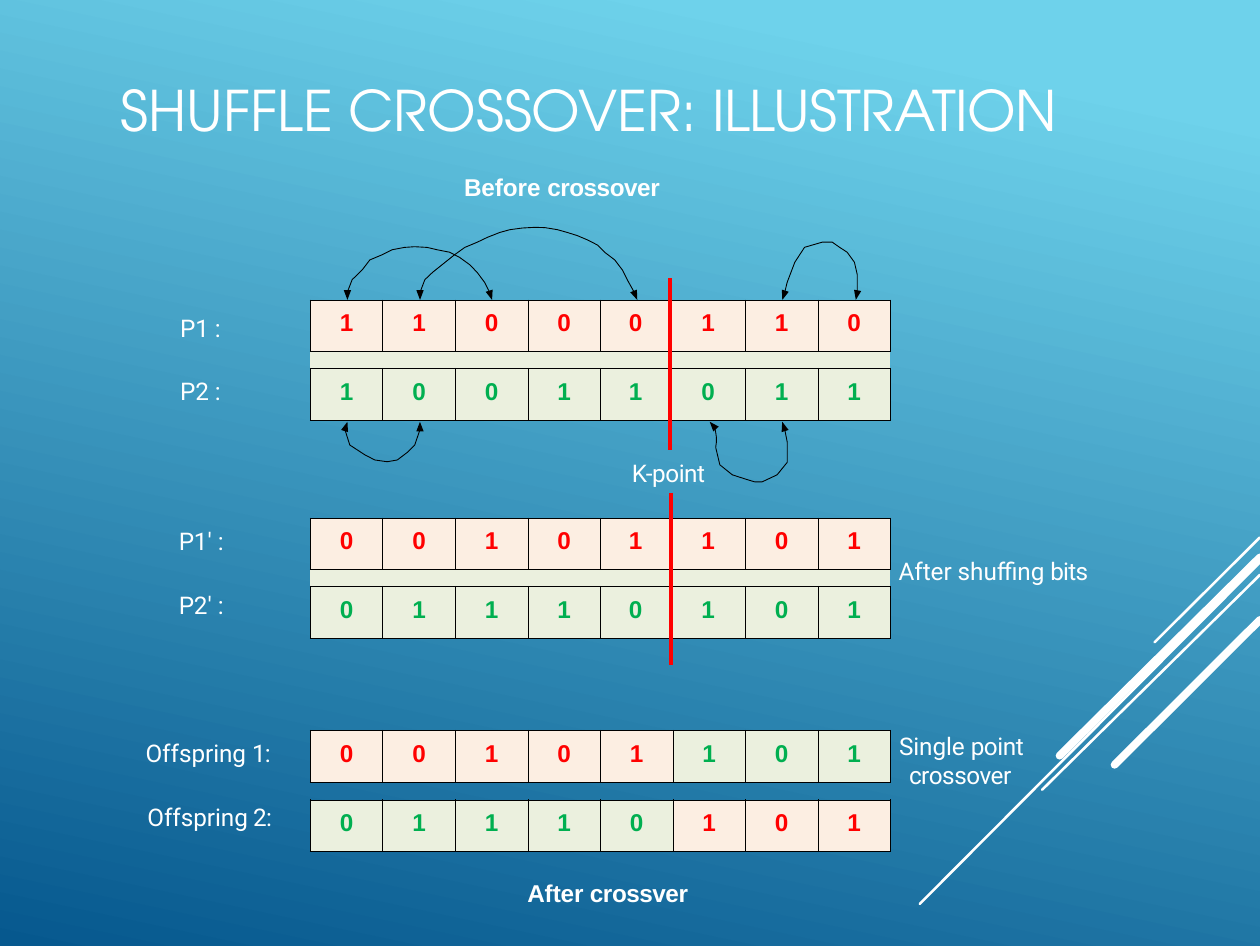
from math import hypot

from lxml.etree import SubElement
from pptx import Presentation
from pptx.dml.color import RGBColor
from pptx.enum.shapes import MSO_CONNECTOR
from pptx.enum.text import MSO_ANCHOR, MSO_AUTO_SIZE, PP_ALIGN
from pptx.oxml import parse_xml
from pptx.oxml.ns import nsdecls, qn
from pptx.util import Pt

COLORS = {"white": "FFFFFF", "black": "000000", "red": "FF0000", "green": "00AF50",
          "peach": "FCEEE2", "sage": "EBF0DE", "sky": "6ED2EB", "navy": "06588E"}
TINTS = {"r": ("red", "peach"), "g": ("green", "sage")}
FORMATS = {
    "title": {"name": "TeX Gyre Adventor", "size": Pt(16.1), "bold": False},
    "label": {"name": "Roboto", "size": Pt(7), "bold": False},
    "strong": {"name": "Arial", "size": Pt(7), "bold": True},
}
GRID_LEFT, LABEL_WIDTH, BIT_WIDTH = 89.4, 40, 20.9
ROW_HEIGHT, GAP_HEIGHT = 14.9, 4.8
EVEN = [BIT_WIDTH] * 8
UNEVEN = [BIT_WIDTH] * 4 + [20.3, 21.5] + [BIT_WIDTH] * 2
THIN = ("black", 0.25)
CUT = ("red", 1.5)

STREAKS = [(363, 154.8, 332.64, 185.04, 0.75), (363, 162, 264.96, 260.4, 0.75),
           (363, 165.6, 300.24, 227.52, 0.75), (363, 160.56, 305.28, 217.7, 2.25),
           (363, 178.56, 321.12, 220.32, 2.25)]
K_LINES = [(193.1, 80.1, 193.1, 129.6, 1.09), (193.3, 142, 193.3, 191.52, 1.09)]
TEXTS = [
    ("strong", 133, 48.8, 59.76, 10.08, 0.72, 0, [("Before ", 0), ("crossover", -10)]),
    ("strong", 151.2, 252.3, 49.68, 10.08, 0.72, 0, [("After", 0), (" crossver", -10)]),
    ("label", 181.4, 131.3, 24.48, 9.36, 0.72, 0, [("K-point", -10)]),
    ("label", 41.3, 212, 38.16, 10.08, 0.72, 0, [("Offspring ", 0), ("1:", -20)]),
    ("label", 41.8, 230.3, 38.16, 10.08, 0.72, 0, [("Offspring", 0), (" 2:", -20)]),
    ("label", 257.6, 209.8, 38.88, 18, 4.32, -2.88,
     [("Single ", 0), ("point crossover", -10)]),
    ("label", 258.2, 159.4, 56.16, 9.36, 0.72, 0, [("After shuffing ", 0), ("bits", -20)]),
    ("label", 50.8, 150.8, 15.84, 10.08, 0.72, 0, [("P1' ", 0), (":", -50)]),
    ("label", 50.8, 169.2, 15.84, 10.08, 0.72, 0, [("P2' ", 0), (":", -50)]),
]
SWAPS = [
    ([(100.1, 84.2), (101.5, 80.6), (104.4, 77.8), (106.6, 74.9), (110.2, 73.4), (113, 72),
      (116.6, 71.3), (119.5, 71.1), (123.1, 71.3), (126, 72), (129.6, 72.7), (132.5, 74.2),
      (135.4, 76.3), (137.5, 78.5), (139.7, 81.4), (141.1, 84.2)],
     (100.1, 86.4), (141.8, 86.4)),
    ([(121, 84.2), (122.4, 80.6), (124.6, 78.5), (128.2, 75.6), (131, 73.4), (133.9, 71.3),
      (137.5, 69.8), (140.4, 68.4), (144, 67), (146.9, 66.2), (150.5, 65.7), (154.1, 65.5),
      (157, 65.6), (160.6, 66.2), (163.4, 67), (166.3, 67.9), (169.2, 69.1), (172.1, 70.6),
      (174.2, 72.7), (177.1, 74.9), (179.3, 77.8), (180.7, 80.6), (182.7, 84.2)],
     (121, 86.4), (183.6, 86.4)),
    ([(226.1, 84.2), (226.8, 81.4), (229, 75.6), (231.8, 71.3), (236.9, 69.8), (239.8, 69.8),
      (241.9, 71.3), (244.1, 72.7), (246.2, 75.6), (247, 79.2), (247, 84.2)],
     (225.4, 86.4), (246.6, 86.4)),
    ([(205.9, 123.1), (206.2, 124.6), (206.4, 126), (206.4, 127.4), (206.2, 128.9),
      (207.4, 133.9), (211, 136.8), (215.3, 138.2), (217.4, 138.8), (219.6, 138.8),
      (223.9, 136.8), (226.8, 133.2), (226.8, 127.4), (226.1, 123.8)],
     (204.5, 121.5), (225.4, 121.5)),
    ([(99.4, 123.8), (100.8, 128.2), (105.1, 131), (108, 132.5), (111.6, 133),
      (114.5, 132.5), (117.4, 130.3), (119.5, 128.2), (121, 123.8)],
     (100.1, 121.5), (121, 121.5)),
]


def rgb(name):
    return RGBColor.from_string(COLORS[name])


def write(p, runs, style, color="white", before=1, indent=(0, 0), align=PP_ALIGN.LEFT):
    p.alignment, p.space_before = align, Pt(before)
    pPr = p._p.get_or_add_pPr()
    pPr.set("marL", str(Pt(indent[0])))
    pPr.set("indent", str(Pt(indent[1])))
    for text, spacing in runs:
        r = p.add_run()
        r.text = text
        for key, value in FORMATS[style].items():
            setattr(r.font, key, value)
        r.font.color.rgb = rgb(color)
        for key, value in {"spc": spacing, "kern": 0}.items():
            r._r.get_or_add_rPr().set(key, str(value))


def set_margins(box, top):
    for side, value in {"left": 0, "top": top, "right": 0, "bottom": 0}.items():
        setattr(box, f"margin_{side}", Pt(value))


def add_title(s):
    sp = s.shapes.title
    sp.left, sp.top, sp.width, sp.height = Pt(34.1), Pt(20.16), Pt(363.6), Pt(20.88)
    tf = sp.text_frame
    set_margins(tf, 1.44)
    tf.word_wrap, tf.vertical_anchor = True, MSO_ANCHOR.MIDDLE
    tf.auto_size = MSO_AUTO_SIZE.SHAPE_TO_FIT_TEXT
    write(tf.paragraphs[0], [("SHUFFLE CROSSOVER: ", 0), ("ILLUSTRATION", -10)],
          "title", before=1.4, indent=(0.72, 0))


def add_text(s, style, left, top, width, height, margin, hang, runs):
    tf = s.shapes.add_textbox(Pt(left), Pt(top), Pt(width), Pt(height)).text_frame
    set_margins(tf, 0.72)
    tf.word_wrap, tf.auto_size = True, MSO_AUTO_SIZE.SHAPE_TO_FIT_TEXT
    write(tf.paragraphs[0], runs, style, indent=(margin, hang))


def add_line(s, color, x1, y1, x2, y2, weight):
    c = s.shapes.add_connector(MSO_CONNECTOR.STRAIGHT, Pt(x1), Pt(y1), Pt(x2), Pt(y2))
    c.line.color.rgb, c.line.width = rgb(color), Pt(weight)
    c.line._get_or_add_ln().set("cap", "rnd" if color == "white" else "flat")
    SubElement(c._element.spPr, qn("a:effectLst"))


def add_outline(s, contours, close):
    points = [[(Pt(x), Pt(y)) for x, y in contour] for contour in contours]
    builder = s.shapes.build_freeform(*points[0][0], scale=1.0)
    for i, contour in enumerate(points):
        if i:
            builder.move_to(*contour[0])
        builder.add_line_segments(contour[1:], close=close)
    sp = builder.convert_to_shape()
    sp.shadow.inherit = False
    return sp


def arrowhead(base, tip, length=2.8, half=1.05):
    dx, dy = tip[0] - base[0], tip[1] - base[1]
    dx, dy = dx / hypot(dx, dy), dy / hypot(dx, dy)
    x, y = tip[0] - dx * length, tip[1] - dy * length
    return [(x - dy * half, y + dx * half), tip, (x + dy * half, y - dx * half)]


def add_swap(s, curve, start_tip, end_tip):
    arc = add_outline(s, [curve], False)
    arc.fill.background()
    arc.line.color.rgb, arc.line.width = rgb("black"), Pt(0.25)
    heads = add_outline(s, [arrowhead(curve[0], start_tip), arrowhead(curve[-1], end_tip)], True)
    heads.fill.solid()
    heads.fill.fore_color.rgb = rgb("black")
    heads.line.fill.background()


def format_cell(cell, fill, **borders):
    set_margins(cell, 2.88)
    if fill:
        cell.fill.solid()
        cell.fill.fore_color.rgb = rgb(fill)
    else:
        cell.fill.background()
    for i, side in enumerate("LRTB"):
        color, weight = borders.get(side, (None, 0))
        paint = (f'<a:solidFill><a:srgbClr val="{COLORS[color]}"/></a:solidFill>'
                 if color else "<a:noFill/>")
        ln = f'<a:ln{side} {nsdecls("a")} w="{Pt(weight)}">{paint}</a:ln{side}>'
        cell._tc.get_or_add_tcPr().insert(i, parse_xml(ln))


def format_gap(cell, fill, **borders):
    format_cell(cell, fill, **borders)
    set_margins(cell, 0)
    cell.text_frame.paragraphs[0]._p.get_or_add_endParaRPr().set("sz", "200")


def add_genes(s, top, widths, rows, labels=(), cut=None):
    """Draw bit strings as table rows; an empty string stands for the gap row."""
    first = 1 if labels else 0
    widths = [LABEL_WIDTH] * first + widths
    heights = [ROW_HEIGHT if bits else GAP_HEIGHT for bits, _ in rows]
    table = s.shapes.add_table(len(rows), len(widths), Pt(GRID_LEFT - LABEL_WIDTH * first),
                               Pt(top), Pt(sum(widths)), Pt(sum(heights))).table
    table.first_row = table.horz_banding = False
    for column, width in zip(table.columns, widths):
        column.width = Pt(width)
    for i, (bits, tints) in enumerate(rows):
        table.rows[i].height = Pt(heights[i])
        if labels and bits:
            text, inset, before = labels[i]
            cell = table.cell(i, 0)
            format_cell(cell, None, R=THIN)
            cell.margin_top = Pt(inset)
            write(cell.text_frame.paragraphs[0], [(text, 0), (":", -50)], "label",
                  before=before, indent=(2.5, 0))
        elif labels:
            format_gap(table.cell(i, 0), None)
        for j, (bit, tint) in enumerate(zip(bits, tints), first):
            ink, fill = TINTS[tint]
            format_cell(table.cell(i, j), fill, L=THIN, R=THIN, T=THIN, B=THIN)
            write(table.cell(i, j).text_frame.paragraphs[0], [(bit, -50)], "strong", ink,
                  before=2.5, align=PP_ALIGN.CENTER)
        if not bits:
            for j in range(first, len(widths)):
                sides = {"R": CUT} if j + 1 == cut else {"L": CUT} if j == cut else {}
                format_gap(table.cell(i, j), "sage", T=THIN, B=THIN, **sides)
            if cut:
                table.cell(i, 0).merge(table.cell(i, cut - 1))
                table.cell(i, cut).merge(table.cell(i, 7))


def main():
    prs = Presentation()
    prs.slide_width, prs.slide_height = Pt(363), Pt(272.5)
    s = prs.slides.add_slide(prs.slide_layouts[5])
    fill = s.background.fill
    fill.gradient()
    fill.gradient_angle = 258
    for stop, position, color in zip(fill.gradient_stops, (0.1, 1), ("sky", "navy")):
        stop.position, stop.color.rgb = position, rgb(color)
    for streak in STREAKS:
        add_line(s, "white", *streak)
    add_title(s)
    gap, reds, greens = ("", ""), "r" * 8, "g" * 8
    add_genes(s, 86.4, UNEVEN, [("11000110", reds), gap, ("10011011", greens)],
              labels=[("P1 ", 4.32, 4), None, ("P2 ", 2.88, 2.5)])
    add_genes(s, 149.2, UNEVEN, [("00101101", reds), gap, ("01110101", greens)], cut=5)
    add_genes(s, 210.4, EVEN, [("00101101", "rrrrrggg")])
    add_genes(s, 230.4, EVEN, [("01110101", "gggggrrr")])
    for line in K_LINES:
        add_line(s, "red", *line)
    for swap in SWAPS:
        add_swap(s, *swap)
    for text in TEXTS:
        add_text(s, *text)
    prs.save("out.pptx")


if __name__ == "__main__":
    main()
